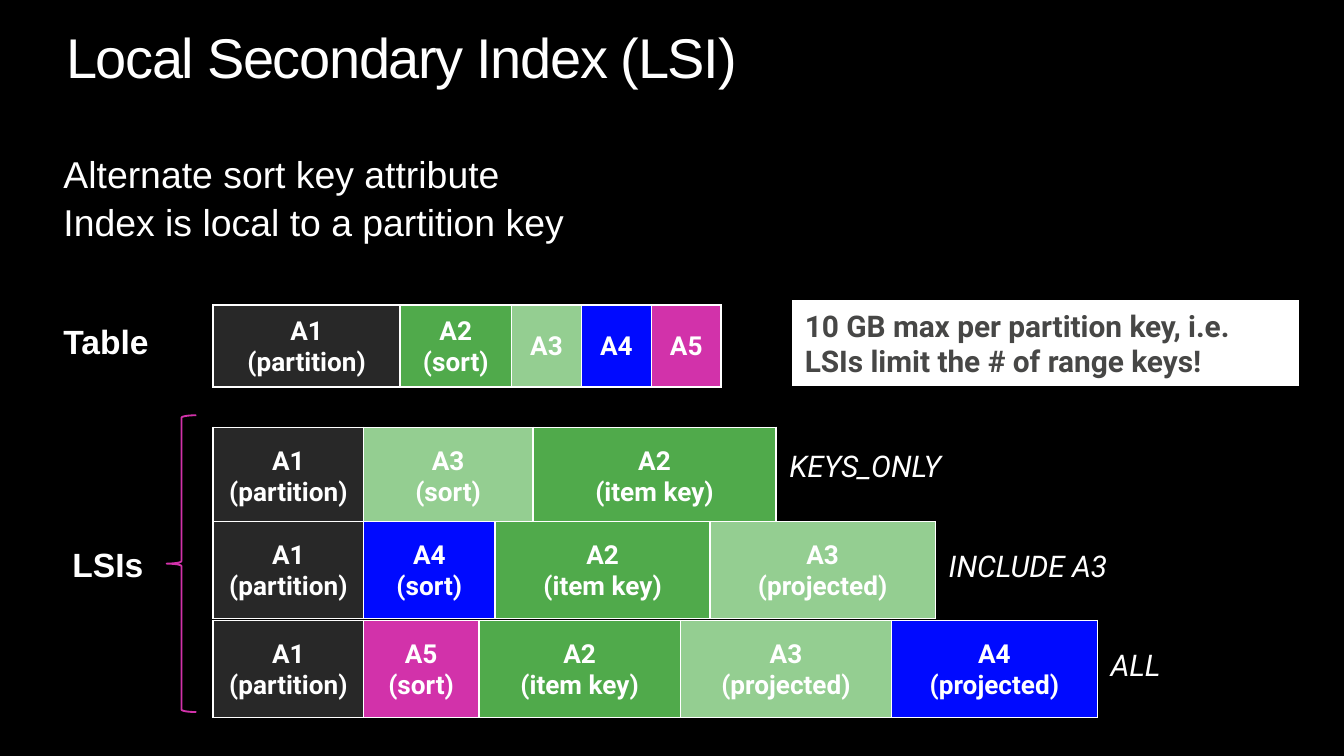
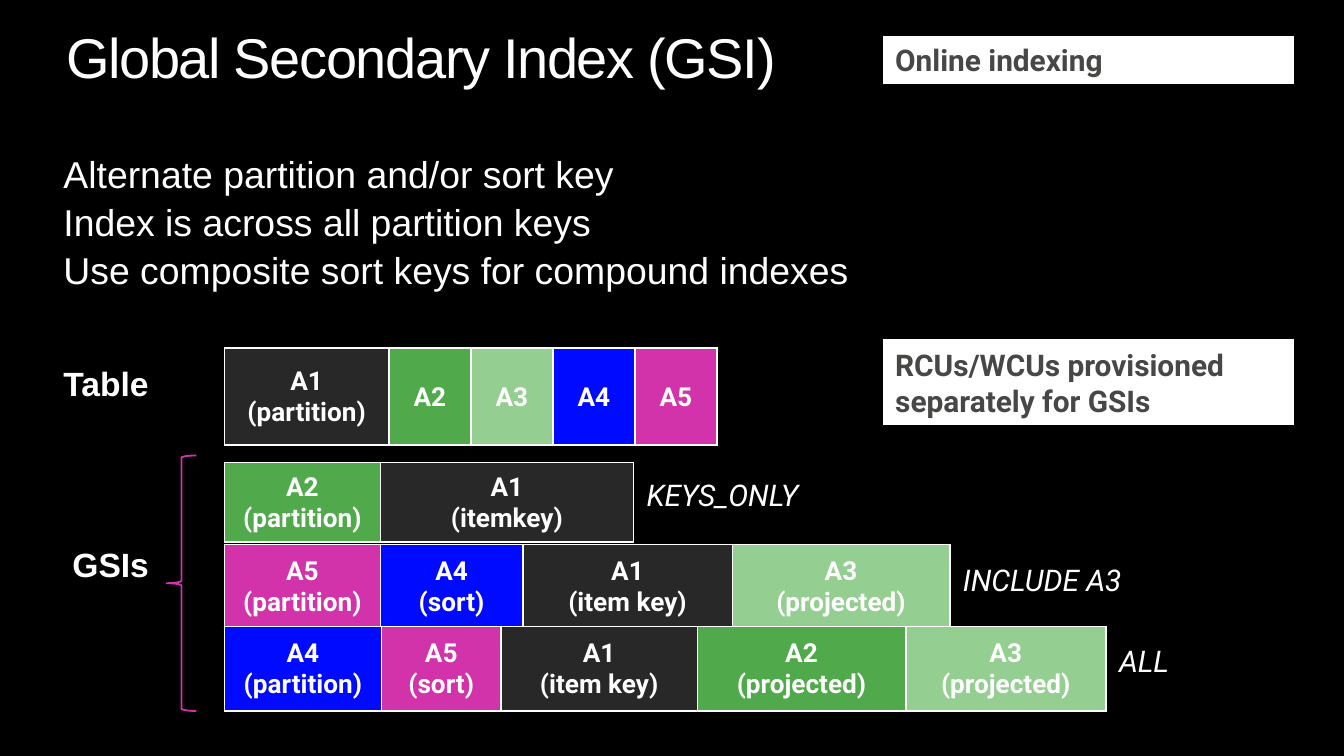
from lxml import etree
from pptx import Presentation
from pptx import util as u
from pptx.dml.color import RGBColor
from pptx.enum import shapes, text
from pptx.oxml import ns

BLACK = RGBColor(0x00, 0x00, 0x00)
WHITE = RGBColor(0xFF, 0xFF, 0xFF)
GREY = RGBColor(0x47, 0x47, 0x46)
PINK = RGBColor(0xD2, 0x32, 0xAA)
FILLS = {
    "A1": RGBColor(0x28, 0x28, 0x28),
    "A2": RGBColor(0x50, 0xAA, 0x4B),
    "A3": RGBColor(0x94, 0xCE, 0x91),
    "A4": RGBColor(0x00, 0x0A, 0xFF),
    "A5": PINK,
}
MARGIN = 0.95
CONTENT_W = 22.78


def place(box):
    """Turn a box given in centimetres into lengths."""
    return [u.Cm(v) for v in box]


def set_insets(tf, left, top, right, bottom):
    """Set the four margins of a text frame or cell in centimetres."""
    tf.margin_left, tf.margin_top = u.Cm(left), u.Cm(top)
    tf.margin_right, tf.margin_bottom = u.Cm(right), u.Cm(bottom)


def add_run(p, words, size, font, color=WHITE, bold=False, italic=False):
    """Add one formatted run to a paragraph."""
    r = p.add_run()
    r.text = words
    r.font.size, r.font.name = u.Pt(size), font
    r.font.bold, r.font.italic = bold, italic
    r.font.color.rgb = color
    return r


def add_paragraphs(tf, lines):
    """Yield a paragraph for each line, starting with the existing one."""
    for i, line in enumerate(lines):
        yield (tf.add_paragraph() if i else tf.paragraphs[0]), line


def add_title(s, words):
    """Move and format the title placeholder."""
    sp = s.shapes.title
    sp.left, sp.top, sp.width, sp.height = place((MARGIN, 0.32, CONTENT_W, 1.52))
    tf = sp.text_frame
    tf.auto_size = text.MSO_AUTO_SIZE.NONE
    tf.vertical_anchor = text.MSO_ANCHOR.TOP
    set_insets(tf, 0.3, 0.25, 0.3, 0.25)
    p = tf.paragraphs[0]
    p.alignment, p.line_spacing = text.PP_ALIGN.LEFT, 0.9
    r = add_run(p, words, 30, "Arial")
    r.font._element.set("spc", "-75")


def add_body(s, lines):
    """Write the introductory statements below the title."""
    sp = s.shapes.add_textbox(*place((MARGIN, 2.79, CONTENT_W, 0.3 + 0.9 * len(lines))))
    tf = sp.text_frame
    tf.word_wrap = True
    set_insets(tf, 0.25, 0.17, 0.25, 0.15)
    for p, line in add_paragraphs(tf, lines):
        p.line_spacing = 0.9
        p.space_before = u.Pt(4 if line != lines[0] else 0)
        add_run(p, line, 20, "Arial")


def add_label(s, box, words, size, font, **style):
    """Add a one-line label that does not wrap."""
    tf = s.shapes.add_textbox(*place(box)).text_frame
    tf.word_wrap = False
    tf.auto_size = text.MSO_AUTO_SIZE.SHAPE_TO_FIT_TEXT
    add_run(tf.paragraphs[0], words, size, font, **style)


def add_heading(s, left, top, words):
    """Name a group of strips at the left of the slide."""
    add_label(s, (left, top, 2.3, 1.02), words, 18, "Arial", bold=True)


def add_note(s, box, words):
    """Add a white call-out box."""
    sp = s.shapes.add_shape(shapes.MSO_SHAPE.RECTANGLE, *place(box))
    sp.shadow.inherit = False
    sp.fill.solid()
    sp.fill.fore_color.rgb = WHITE
    sp.line.color.rgb, sp.line.width = BLACK, u.Pt(1)
    tf = sp.text_frame
    tf.word_wrap = True
    p = tf.paragraphs[0]
    p.alignment = text.PP_ALIGN.LEFT
    add_run(p, words, 16, "Roboto", GREY, bold=True)


def add_brace(s, top, height):
    """Draw the brace that groups the index strips."""
    sp = s.shapes.add_shape(shapes.MSO_SHAPE.LEFT_BRACE, *place((3.15, top, 0.56, height)))
    sp.shadow.inherit = False
    sp.fill.background()
    sp.line.color.rgb, sp.line.width = PINK, u.Pt(1)
    sp.adjustments[0] = 0.083


def format_cell(cell, attribute, role):
    """Fill, border and write one attribute cell."""
    tcPr = cell._tc.get_or_add_tcPr()
    for side in ("a:lnL", "a:lnR", "a:lnT", "a:lnB"):
        ln = etree.SubElement(tcPr, ns.qn(side), w=str(u.Pt(1)))
        solid = etree.SubElement(ln, ns.qn("a:solidFill"))
        etree.SubElement(solid, ns.qn("a:srgbClr"), val=str(WHITE))
    cell.fill.solid()
    cell.fill.fore_color.rgb = FILLS[attribute]
    cell.vertical_anchor = text.MSO_ANCHOR.MIDDLE
    set_insets(cell, 0.03, 0.03, 0.03, 0)
    lines = [attribute, f"({role})"] if role else [attribute]
    for p, line in add_paragraphs(cell.text_frame, lines):
        p.alignment = text.PP_ALIGN.CENTER
        add_run(p, line, 14, "Roboto", bold=True)


def add_strip(s, left, top, height, cells, projection="", drop=0):
    """Add a one-row table of (attribute, role, width), with its projection beside it."""
    width = sum(w for _, _, w in cells)
    frame = s.shapes.add_table(1, len(cells), *place((left, top, width, height)))
    table = frame.table
    table.first_row = table.horz_banding = False
    table.rows[0].height = u.Cm(height)
    for i, (attribute, role, w) in enumerate(cells):
        table.columns[i].width = u.Cm(w)
        format_cell(table.cell(0, i), attribute, role)
    if projection:
        box = (left + width, top + drop, 0.8 + 0.3 * len(projection), 0.94)
        add_label(s, box, projection, 16, "Roboto", italic=True)


def build_slide(prs, title, body, group, left, heading_top, brace, strips, notes):
    """Build one index slide from its parts."""
    s = prs.slides.add_slide(prs.slide_layouts[5])
    add_title(s, title)
    add_body(s, body)
    for strip in strips:
        add_strip(s, left, *strip)
    add_heading(s, MARGIN, heading_top, "Table")
    add_heading(s, 1.12, 10.16, group)
    add_brace(s, *brace)
    for box, words in notes:
        add_note(s, box, words)


def main():
    """Build and save the presentation."""
    prs = Presentation()
    prs.slide_width, prs.slide_height = u.Cm(25.4), u.Cm(14.29)
    bg = prs.slide_master.background.fill
    bg.solid()
    bg.fore_color.rgb = BLACK

    build_slide(
        prs, "Local Secondary Index (LSI)",
        ["Alternate sort key attribute", "Index is local to a partition key"],
        "LSIs", 4.03, 5.94, (7.85, 5.61),
        [
            (5.77, 1.55, [("A1", "partition", 3.53), ("A2", "sort", 2.11),
                          ("A3", "", 1.32), ("A4", "", 1.32), ("A5", "", 1.32)]),
            (8.08, 1.83, [("A1", "partition", 2.84), ("A3", "sort", 3.2),
                          ("A2", "item key", 4.6)], "KEYS_ONLY", 0.25),
            (9.86, 1.83, [("A1", "partition", 2.84), ("A4", "sort", 2.49),
                          ("A2", "item key", 4.06), ("A3", "projected", 4.26)],
             "INCLUDE A3", 0.36),
            (11.73, 1.83, [("A1", "partition", 2.84), ("A5", "sort", 2.18),
                           ("A2", "item key", 3.81), ("A3", "projected", 3.99),
                           ("A4", "projected", 3.89)], "ALL", 0.36),
        ],
        [((14.96, 5.66, 9.6, 1.65),
          "10 GB max per partition key, i.e. LSIs limit the # of range keys!")],
    )
    build_slide(
        prs, "Global Secondary Index (GSI)",
        ["Alternate partition and/or sort key", "Index is across all partition keys",
         "Use composite sort keys for compound indexes"],
        "GSIs", 4.24, 6.73, (8.61, 4.83),
        [
            (6.58, 1.83, [("A1", "partition", 3.11), ("A2", "", 1.55),
                          ("A3", "", 1.55), ("A4", "", 1.55), ("A5", "", 1.55)]),
            (8.74, 1.5, [("A2", "partition", 2.95), ("A1", "itemkey", 4.78)],
             "KEYS_ONLY", 0.15),
            (10.29, 1.57, [("A5", "partition", 2.95), ("A4", "sort", 2.69),
                           ("A1", "item key", 3.96), ("A3", "projected", 4.11)],
             "INCLUDE A3", 0.2),
            (11.84, 1.6, [("A4", "partition", 2.97), ("A5", "sort", 2.26),
                          ("A1", "item key", 3.71), ("A2", "projected", 3.94),
                          ("A3", "projected", 3.78)], "ALL", 0.18),
        ],
        [((16.67, 6.4, 7.8, 1.65), "RCUs/WCUs provisioned separately for GSIs"),
         ((16.67, 0.66, 7.8, 0.94), "Online indexing")],
    )
    prs.save("out.pptx")


if __name__ == "__main__":
    main()
